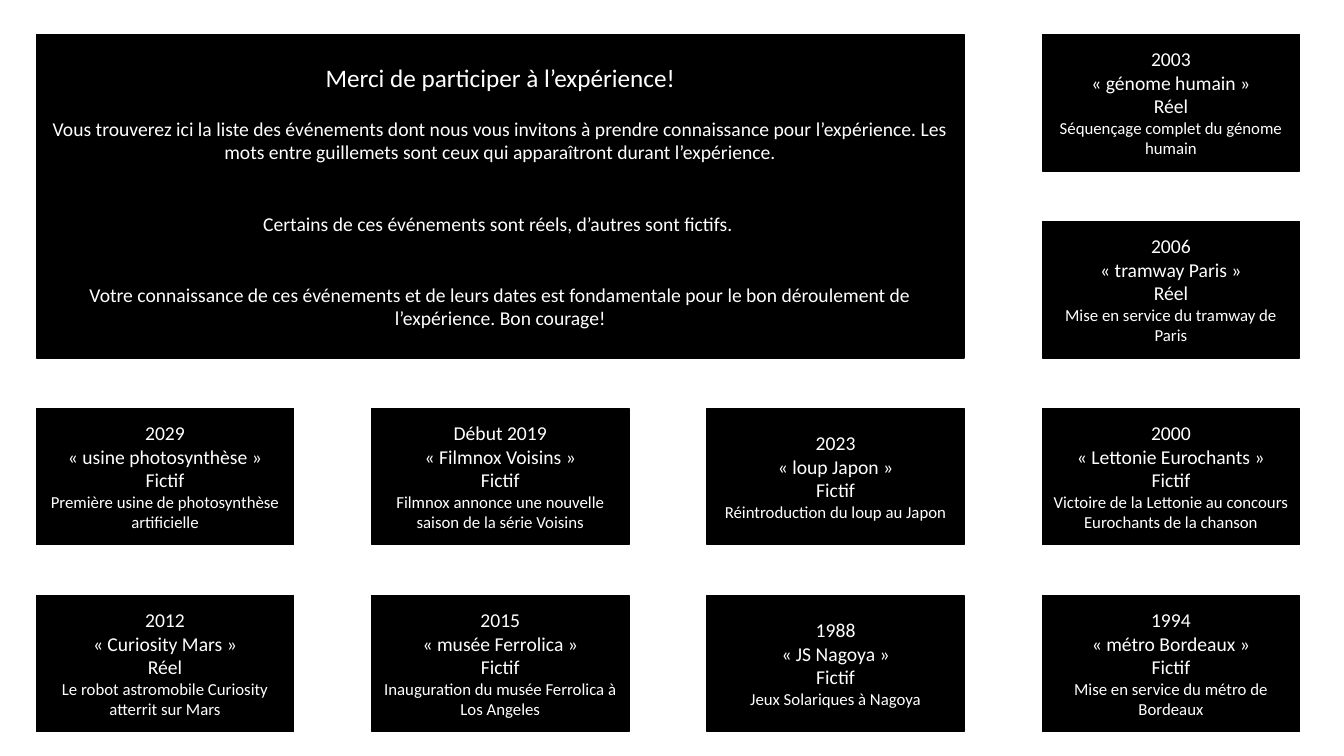
from pptx import Presentation
from pptx.dml.color import RGBColor
from pptx.enum.shapes import MSO_SHAPE as Shape
from pptx.enum.text import MSO_ANCHOR as Anchor, PP_ALIGN as Align
from pptx.util import Cm, Pt

FONT = "Calibri"
BLACK, WHITE = "000000", "FFFFFF"
LEFT, TOP = 0.92, 0.87
CARD_WIDTH, CARD_HEIGHT = 6.48, 3.44
COLUMN_STEP, ROW_STEP = 8.45, 4.71

INTRO = [
    ("Merci de participer à l’expérience!", 18, 0),
    ("Vous trouverez ici la liste des événements dont nous vous invitons à "
     "prendre connaissance pour l’expérience. Les mots entre guillemets sont "
     "ceux qui apparaîtront durant l’expérience.", 14, 17),
    ("Certains de ces événements sont réels, d’autres sont fictifs. ", 14, 34),
    ("Votre connaissance de ces événements et de leurs dates est fondamentale "
     "pour le bon déroulement de l’expérience. Bon courage!", 14, 34),
]

EVENTS = [
    (3, 0, "2003", "génome humain", "Réel", "Séquençage complet du génome humain"),
    (3, 1, "2006", "tramway Paris", "Réel", "Mise en service du tramway de Paris"),
    (0, 2, "2029", "usine photosynthèse", "Fictif",
     "Première usine de photosynthèse artificielle"),
    (1, 2, "Début 2019", "Filmnox Voisins", "Fictif",
     "Filmnox annonce une nouvelle saison de la série Voisins"),
    (2, 2, "2023", "loup Japon", "Fictif", "Réintroduction du loup au Japon"),
    (3, 2, "2000", "Lettonie Eurochants", "Fictif",
     "Victoire de la Lettonie au concours Eurochants de la chanson"),
    (0, 3, "2012", "Curiosity Mars", "Réel",
     "Le robot astromobile Curiosity atterrit sur Mars"),
    (1, 3, "2015", "musée Ferrolica", "Fictif",
     "Inauguration du musée Ferrolica à Los Angeles"),
    (2, 3, "1988", "JS Nagoya", "Fictif", "Jeux Solariques à Nagoya"),
    (3, 3, "1994", "métro Bordeaux", "Fictif", "Mise en service du métro de Bordeaux"),
]


def color(value):
    """Turn a hex string into a colour."""
    return RGBColor.from_string(value)


def write_lines(frame, lines):
    """Fill a text frame with centred (text, size, space before) lines."""
    frame.word_wrap = True
    frame.vertical_anchor = Anchor.MIDDLE
    for index, (text, size, gap) in enumerate(lines):
        para = frame.paragraphs[0] if index == 0 else frame.add_paragraph()
        para.text = text
        para.alignment = Align.CENTER
        para.space_before = Pt(gap)
        para.font.name = FONT
        para.font.size = Pt(size)
        para.font.color.rgb = color(WHITE)


def add_box(page, column, row, lines, columns=1, rows=1):
    """Add a black text box spanning the given cells of the grid."""
    box = page.shapes.add_shape(
        Shape.RECTANGLE,
        Cm(LEFT + column * COLUMN_STEP),
        Cm(TOP + row * ROW_STEP),
        Cm(CARD_WIDTH + (columns - 1) * COLUMN_STEP),
        Cm(CARD_HEIGHT + (rows - 1) * ROW_STEP),
    )
    box.shadow.inherit = False
    box.fill.solid()
    box.fill.fore_color.rgb = color(BLACK)
    box.line.color.rgb = color(BLACK)
    box.line.width = Pt(1)
    write_lines(box.text_frame, lines)


def add_event(page, column, row, date, keywords, status, description):
    """Add the card of one event."""
    quoted = f"«\u00a0{keywords}\u00a0»"
    lines = [(text, 14, 0) for text in (date, quoted, status)]
    add_box(page, column, row, lines + [(description, 12, 0)])


def main():
    """Build the slide and save it."""
    deck = Presentation()
    deck.slide_width, deck.slide_height = Cm(33.87), Cm(19.05)
    page = deck.slides.add_slide(deck.slide_layouts[6])
    add_box(page, 0, 0, INTRO, columns=3, rows=2)
    for event in EVENTS:
        add_event(page, *event)
    deck.save("out.pptx")


main()
